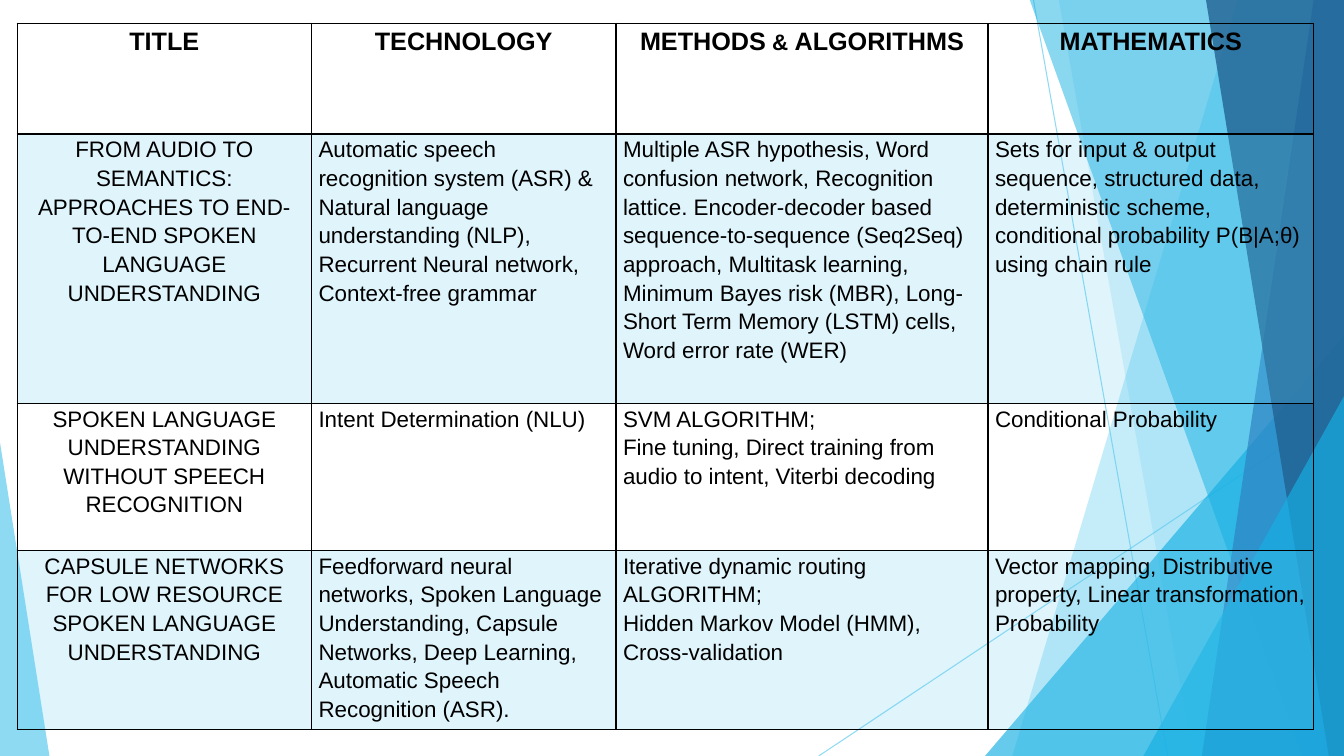
from lxml.etree import SubElement
from pptx import Presentation
from pptx.dml.color import RGBColor as RGB
from pptx.enum.shapes import MSO_CONNECTOR as CONN, MSO_SHAPE as SHAPE
from pptx.enum.text import PP_ALIGN as ALIGN
from pptx.oxml import parse_xml
from pptx.oxml.ns import nsdecls, qn
from pptx.util import Inches, Pt

COLORS = {"sky": "5FCBEF", "cyan": "16B0E3", "blue": "2E83C3", "navy": "226292", "ink": "000000"}
WIDTH, HEIGHT, TOP = 13.33, 7.5, -0.01
RAYS = [((10.25, 0), (11.58, HEIGHT)), ((WIDTH, 4.03), (8.12, HEIGHT))]
BAND, TRIANGLE = "band", "triangle"
FACETS = [
    (BAND, (12.28, 10.04), "sky", 36),
    (BAND, (10.5, 11.83), "sky", 20),
    (TRIANGLE, (9.77, 3.33, 3.56, 1), "cyan", 66),
    (BAND, (10.21, 12.91), "cyan", 50),
    (BAND, (13.03, 11.92), "blue", 70),
    (BAND, (11.96, 13.18), "navy", 80),
    (TRIANGLE, (11.34, 3.93, 1.99, 1), "cyan", 66),
    (TRIANGLE, (0, 4.39, 0.49, 0), "sky", 70),
]
COL_WIDTHS = [2.92, 3.02, 3.69, 3.23]
ROW_HEIGHTS = [1.1, 2.67, 1.46, 1.78]
ROWS = [
    ["TITLE", "TECHNOLOGY", "METHODS & ALGORITHMS", "MATHEMATICS"],
    ["FROM AUDIO TO SEMANTICS: APPROACHES TO END-TO-END SPOKEN LANGUAGE UNDERSTANDING",
     "Automatic speech recognition system (ASR) & Natural language understanding (NLP), "
     "Recurrent Neural network, Context-free grammar",
     "Multiple ASR hypothesis, Word confusion network, Recognition lattice. Encoder-decoder based "
     "sequence-to-sequence (Seq2Seq) approach, Multitask learning, Minimum Bayes risk (MBR), "
     "Long-Short Term Memory (LSTM) cells, Word error rate (WER)",
     "Sets for input & output sequence, structured data, deterministic scheme, "
     "conditional probability P(B|A;θ) using chain rule"],
    ["SPOKEN LANGUAGE UNDERSTANDING WITHOUT SPEECH RECOGNITION",
     "Intent Determination (NLU)",
     "SVM ALGORITHM;\nFine tuning, Direct training from audio to intent, Viterbi decoding",
     "Conditional Probability"],
    ["CAPSULE NETWORKS FOR LOW RESOURCE SPOKEN LANGUAGE UNDERSTANDING",
     "Feedforward neural networks, Spoken Language Understanding, Capsule Networks, "
     "Deep Learning, Automatic Speech Recognition (ASR).",
     "Iterative dynamic routing ALGORITHM;\nHidden Markov Model (HMM), Cross-validation",
     "Vector mapping, Distributive property, Linear transformation, Probability"],
]
MARGINS = {"margin_left": Inches(0.07), "margin_right": Inches(0.07), "margin_top": 0, "margin_bottom": 0}


def color(name):
    return RGB.from_string(COLORS[name])


def set_alpha(element, percent):
    for clr in element.iter(qn("a:srgbClr")):
        SubElement(clr, qn("a:alpha")).set("val", str(percent * 1000))


def paint(fill, element, name, percent):
    fill.solid()
    fill.fore_color.rgb = color(name)
    set_alpha(element, percent)


def add_ray(slide, start, end):
    s = slide.shapes.add_connector(CONN.STRAIGHT, *map(Inches, start + end))
    s.line.width = Pt(0.75)
    s.line.color.rgb = color("sky")
    set_alpha(s.element, 70)
    SubElement(s.element.spPr, qn("a:effectLst"))


def add_facet(slide, kind, geometry, name, percent):
    if kind == BAND:
        top_x, bottom_x = geometry
        corners = [(WIDTH, TOP), (WIDTH, HEIGHT), (bottom_x, HEIGHT)]
        builder = slide.shapes.build_freeform(Inches(top_x), Inches(TOP))
        builder.add_line_segments([tuple(map(Inches, c)) for c in corners], close=True)
        s = builder.convert_to_shape()
    else:
        left, top, width, apex = geometry
        box = map(Inches, (left, top, width, HEIGHT - top))
        s = slide.shapes.add_shape(SHAPE.ISOSCELES_TRIANGLE, *box)
        s.adjustments[0] = apex
    s.shadow.inherit = False
    s.line.fill.background()
    paint(s.fill, s.element, name, percent)


def add_borders(cell):
    tc_pr = cell._tc.get_or_add_tcPr()
    for i, side in enumerate("LRTB"):
        tc_pr.insert(i, parse_xml(
            f'<a:ln{side} {nsdecls("a")} w="12700"><a:solidFill>'
            f'<a:srgbClr val="{COLORS["ink"]}"/></a:solidFill></a:ln{side}>'))


def write(cell, text, header, centered):
    tf = cell.text_frame
    for i, line in enumerate(text.split("\n")):
        p = tf.paragraphs[0] if i == 0 else tf.add_paragraph()
        p.alignment = ALIGN.CENTER if centered else ALIGN.LEFT
        p.line_spacing = 1.15
        before, amp, after = line.partition(" & ") if header else (line, "", "")
        for part, size in ((before, 18 if header else 16), (amp, 16), (after, 18)):
            if part:
                r = p.add_run()
                r.text = part
                font = {"name": "Arial", "size": Pt(size), "bold": header}
                for key, value in font.items():
                    setattr(r.font, key, value)
                r.font.color.rgb = color("ink")


def add_comparison(slide):
    box = map(Inches, (0.17, 0.23, sum(COL_WIDTHS), sum(ROW_HEIGHTS)))
    table = slide.shapes.add_table(len(ROWS), len(COL_WIDTHS), *box).table
    table.first_row = table.horz_banding = False
    for column, width in zip(table.columns, COL_WIDTHS):
        column.width = Inches(width)
    for i, (row, height) in enumerate(zip(table.rows, ROW_HEIGHTS)):
        row.height = Inches(height)
        for j, cell in enumerate(row.cells):
            for key, value in MARGINS.items():
                setattr(cell, key, value)
            if i % 2:
                paint(cell.fill, cell._tc, "sky", 20)
            else:
                cell.fill.background()
            add_borders(cell)
            write(cell, ROWS[i][j], i == 0, i == 0 or j == 0)


def main():
    """Build the slide comparing spoken language understanding papers."""
    prs = Presentation()
    prs.slide_width, prs.slide_height = Inches(WIDTH), Inches(HEIGHT)
    slide = prs.slides.add_slide(prs.slide_layouts[6])
    for start, end in RAYS:
        add_ray(slide, start, end)
    for facet in FACETS:
        add_facet(slide, *facet)
    add_comparison(slide)
    prs.save("out.pptx")


if __name__ == "__main__":
    main()
